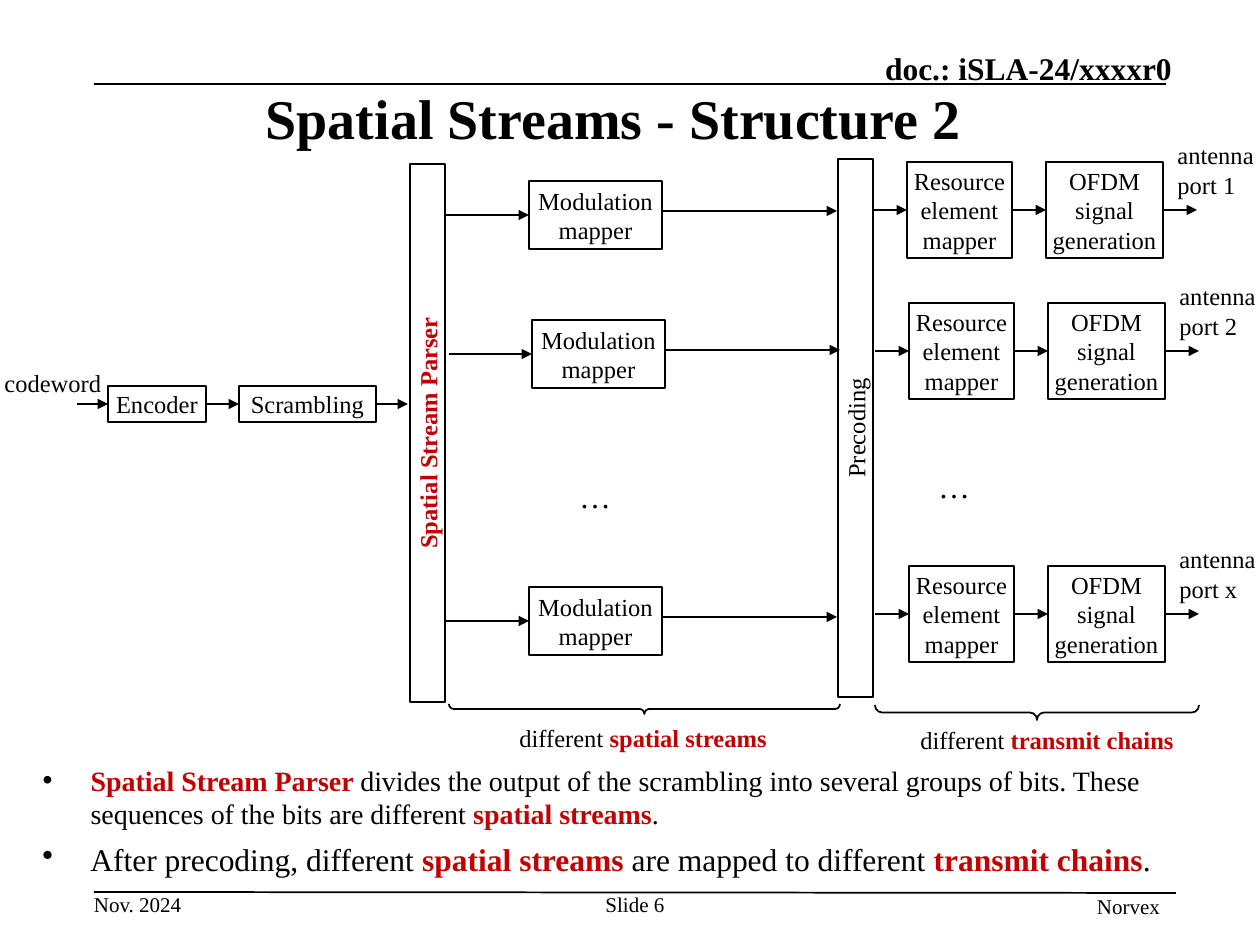
from dataclasses import dataclass

from lxml import etree
from pptx import Presentation, util as u
from pptx.dml.color import RGBColor
from pptx.enum import shapes, text
from pptx.oxml.ns import qn


@dataclass(frozen=True)
class Theme:
    font: str = "Times New Roman"
    ink: RGBColor = RGBColor(0, 0, 0)
    accent: RGBColor = RGBColor(0xC0, 0, 0)
    line: float = 1
    title: int = 32
    large: int = 18
    body: int = 16
    label: int = 14
    footer: int = 12


THEME = Theme()
LEFT, CENTER, RIGHT = text.PP_ALIGN.LEFT, text.PP_ALIGN.CENTER, text.PP_ALIGN.RIGHT
TOP, MIDDLE, BOTTOM = (text.MSO_ANCHOR.TOP, text.MSO_ANCHOR.MIDDLE,
                       text.MSO_ANCHOR.BOTTOM)

# Spans are (wording, emphasised); boxes are (left, top, width, height) in px.
TITLE = ([("Spatial Streams - Structure 2", False)], (78, 78, 1071, 79))
BULLETS = [
    ([("Spatial Stream Parser ", True),
      ("divides the output of the scrambling into several groups of bits. "
       "These sequences of the bits are different ", False),
      ("spatial streams", True), (".", False)], THEME.body, (30, 757, 1210, 67)),
    ([("After precoding, different ", False), ("spatial streams ", True),
      ("are mapped to different ", False), ("transmit chains", True),
      (".", False)], THEME.large, (30, 834, 1177, 43)),
]
MARGIN_TEXTS = [
    ("Nov. 2024", THEME.footer, (94, 892, 100, 25), LEFT, TOP),
    ("Slide 6", THEME.footer, (585, 892, 100, 50), CENTER, TOP),
    ("Norvex", THEME.footer, (1092, 894, 73, 50), CENTER, TOP),
    ("doc.: iSLA-24/xxxxr0", THEME.large, (689, 49, 483, 38), RIGHT, BOTTOM),
]
RULES = [(94, 84, 1166, 84), (94, 892, 1176, 893)]
BARS = [("Spatial Stream Parser", True, (410, 164, 35, 538)),
        ("Precoding", False, (838, 159, 35, 538))]
INPUT_BOXES = [("Encoder", (108, 386, 98, 36)), ("Scrambling", (239, 386, 137, 36))]
CODEWORD = ("codeword", (-8, 362, 142, 43))
STREAM_OFFSETS = [(0, 0), (3, 139), (0, 406)]
MAPPER = ("Modulation mapper", (529, 181, 133, 68))
CHAIN_OFFSETS = [(0, 0, "1"), (2, 141, "2"), (2, 404, "x")]
CHAIN_BOXES = [("Resource element mapper", (907, 162, 105, 96)),
               ("OFDM signal generation", (1046, 162, 117, 96))]
ANTENNA = (1165, 134, 106, 72)
ELLIPSES = [(567, 471, 59, 50), (926, 461, 59, 50)]
GROUPS = [("spatial streams", (449, 704, 391, 10), (507, 717, 310, 43)),
          ("transmit chains", (875, 705, 324, 15), (908, 719, 310, 43))]


def px(value):
    return u.Emu(round(value * 914400 / 126))


def shift(box, dx, dy):
    return box[0] + dx, box[1] + dy, box[2], box[3]


def write(shape, spans, size, align=LEFT, anchor=TOP, insets=(0.1, 0.05), bold=False):
    """Fill a shape with one paragraph; insets are horizontal, vertical inches."""
    frame = shape.text_frame
    frame.word_wrap = True
    frame.auto_size = text.MSO_AUTO_SIZE.NONE
    frame.vertical_anchor = anchor
    frame.margin_left = frame.margin_right = u.Inches(insets[0])
    frame.margin_top = frame.margin_bottom = u.Inches(insets[1])
    para = frame.paragraphs[0]
    para.alignment = align
    for wording, emphasised in spans:
        span = para.add_run()
        span.text = wording
        span.font.name = THEME.font
        span.font.size = u.Pt(size)
        span.font.bold = bold or emphasised
        span.font.color.rgb = THEME.accent if emphasised else THEME.ink
    return para


def add_text(page, box, spans, size, **layout):
    label = page.shapes.add_textbox(*map(px, box))
    return write(label, spans, size, **layout)


def add_outline(page, kind, box):
    shape = page.shapes.add_shape(kind, *map(px, box))
    shape.shadow.inherit = False
    shape.fill.background()
    shape.line.color.rgb = THEME.ink
    shape.line.width = u.Pt(THEME.line)
    return shape


def add_block(page, wording, box, emphasised=False):
    block = add_outline(page, shapes.MSO_SHAPE.RECTANGLE, box)
    write(block, [(wording, emphasised)], THEME.label, CENTER, MIDDLE, (0, 0))
    return block


def add_line(page, ends, arrow=True, source=None, target=None):
    """Draw a line, joined to the right of source and the left of target."""
    line = page.shapes.add_connector(shapes.MSO_CONNECTOR.STRAIGHT, *map(px, ends))
    if source is not None:
        line.begin_connect(source, 3)
    if target is not None:
        line.end_connect(target, 1)
    line.line.color.rgb = THEME.ink
    line.line.width = u.Pt(THEME.line)
    properties = line._element.spPr
    if arrow:
        etree.SubElement(properties.find(qn("a:ln")), qn("a:tailEnd"), type="triangle")
    etree.SubElement(properties, qn("a:effectLst"))


def add_chain(page, blocks, start, end):
    """Draw blocks in a row, with arrows between them and at the two ends."""
    drawn = [add_block(page, *block) for block in blocks]
    left, top, width, height = blocks[0][1]
    middle = top + height / 2
    for source, target in zip([None] + drawn, drawn + [None]):
        add_line(page, (start, middle, end, middle), source=source, target=target)


def format_bullet(para):
    para.space_before = u.Pt(6)
    properties = para._p.get_or_add_pPr()
    properties.set("marL", str(px(48)))
    properties.set("indent", str(-px(48)))
    color = etree.SubElement(properties, qn("a:buClr"))
    etree.SubElement(color, qn("a:srgbClr"), val=str(THEME.ink))
    etree.SubElement(properties, qn("a:buChar"), char="•")


def place(shape, box):
    shape.left, shape.top, shape.width, shape.height = map(px, box)


def add_wording(page):
    title, body = page.shapes.title, page.placeholders[1]
    place(title, TITLE[1])
    write(title, TITLE[0], THEME.title, CENTER, MIDDLE, bold=True)
    (first, size, box), (second, second_size, second_box) = BULLETS
    place(body, box)
    format_bullet(write(body, first, size))
    format_bullet(add_text(page, second_box, second, second_size))
    for wording, size, box, align, anchor in MARGIN_TEXTS:
        add_text(page, box, [(wording, False)], size, align=align, anchor=anchor,
                 insets=(0, 0), bold=size == THEME.large)
    for ends in RULES:
        add_line(page, ends, arrow=False)


def add_diagram(page):
    for wording, emphasised, box in BARS:
        bar = add_block(page, wording, box, emphasised)
        bar.text_frame._txBody.bodyPr.set("vert", "vert270")
    add_chain(page, INPUT_BOXES, 77, 408)
    add_text(page, CODEWORD[1], [(CODEWORD[0], False)], THEME.label)

    for dx, dy in STREAM_OFFSETS:
        mapper = add_block(page, MAPPER[0], shift(MAPPER[1], dx, dy))
        add_line(page, (446 + dx, 215 + dy, 529 + dx, 215 + dy), target=mapper)
        add_line(page, (662 + dx, 211 + dy, 837 + dx, 211 + dy))

    for dx, dy, port in CHAIN_OFFSETS:
        blocks = [(wording, shift(box, dx, dy)) for wording, box in CHAIN_BOXES]
        add_chain(page, blocks, 873 + dx, 1197 + dx)
        add_text(page, shift(ANTENNA, dx, dy), [(f"antenna port {port}", False)],
                 THEME.label)

    for box in ELLIPSES:
        add_text(page, box, [("…", False)], THEME.large)
    for wording, (left, top, width, height), label_box in GROUPS:
        upright = (left + (width - height) / 2, top + (height - width) / 2,
                   height, width)
        brace = add_outline(page, shapes.MSO_SHAPE.LEFT_BRACE, upright)
        brace.rotation = 270
        brace.adjustments[0] = 0.47
        add_text(page, label_box, [("different ", False), (wording, True)], THEME.label)


def main():
    deck = Presentation()
    deck.slide_width, deck.slide_height = px(1260), px(945)
    page = deck.slides.add_slide(deck.slide_layouts[1])
    add_wording(page)
    add_diagram(page)
    deck.save("out.pptx")


if __name__ == "__main__":
    main()
